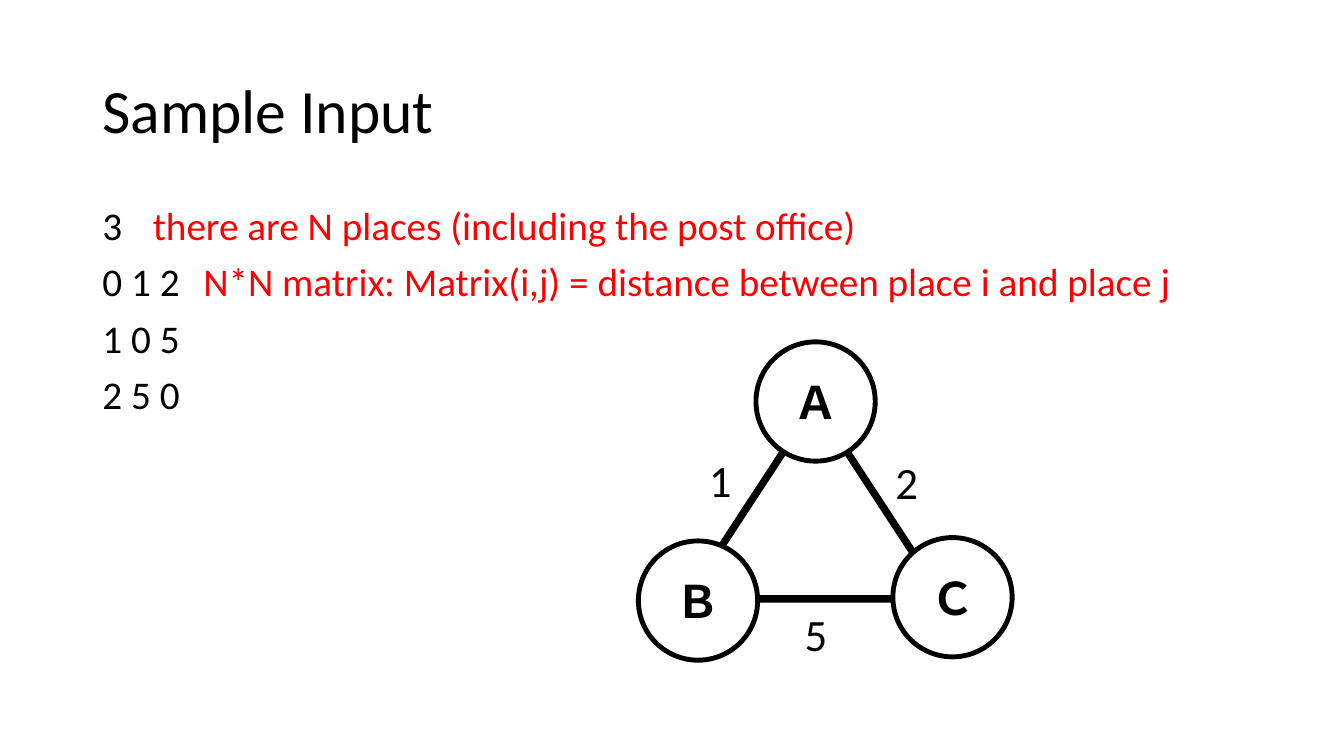
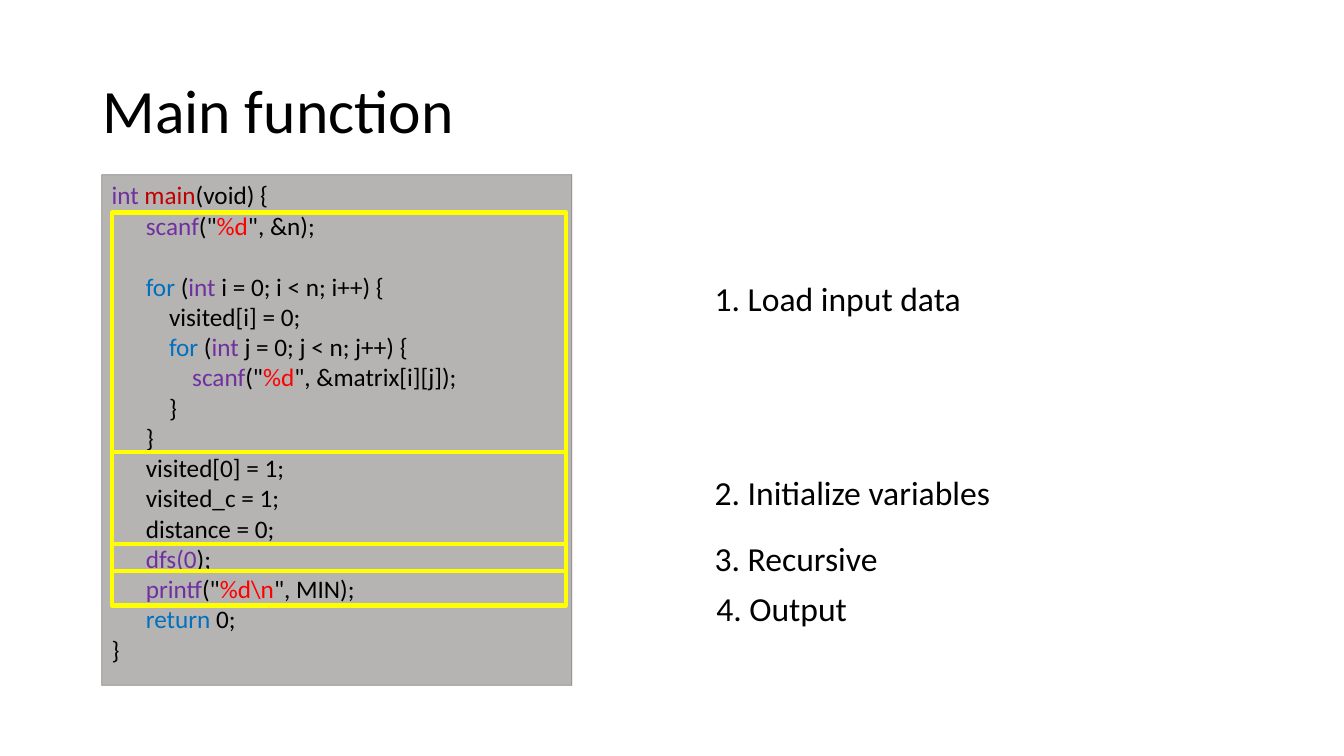
from lxml.etree import SubElement
from pptx import Presentation
from pptx.dml.color import RGBColor
from pptx.enum.shapes import MSO_SHAPE
from pptx.enum.text import MSO_ANCHOR, MSO_AUTO_SIZE, PP_ALIGN
from pptx.oxml.ns import qn
from pptx.util import Inches, Pt

BLACK = RGBColor(0x00, 0x00, 0x00)
WHITE = RGBColor(0xFF, 0xFF, 0xFF)
RED = RGBColor(0xFF, 0x00, 0x00)
DARK_RED = RGBColor(0xC0, 0x00, 0x00)
PURPLE = RGBColor(0x70, 0x30, 0xA0)
BLUE = RGBColor(0x00, 0x70, 0xC0)
YELLOW = RGBColor(0xFF, 0xFF, 0x00)
GREY = RGBColor(0x76, 0x71, 0x71)

COLUMNS, ROWS = 160, 90
CELL = Inches(1) // 12

TITLE_AND_CONTENT, TITLE_ONLY = 1, 5


def set_format(target, values):
    for name, value in values.items():
        setattr(target, name, value)


def set_opacity(color_parent, percent):
    color = color_parent.find(".//" + qn("a:srgbClr"))
    SubElement(color, qn("a:alpha"), val=str(percent * 1000))


class Deck:
    """Holds the style and the current slide; lengths are grid columns and rows."""

    font = "Calibri"
    title_place = (11, 4.8, 138, 17.4)
    body_place = (11, 24, 138, 57.1)
    title_paragraph = {"alignment": PP_ALIGN.LEFT, "line_spacing": 0.9}
    body_paragraph = {"line_spacing": 0.9, "space_before": Pt(10)}

    def __init__(self):
        self.presentation = Presentation()
        set_format(self.presentation, {"slide_width": COLUMNS * CELL,
                                       "slide_height": ROWS * CELL})
        self.slide = None

    def place(self, shape, place):
        lengths = (round(length * CELL) for length in place)
        set_format(shape, dict(zip(("left", "top", "width", "height"), lengths)))

    def add_text(self, paragraph, runs, size, paragraph_format, bold=False):
        """Fill a paragraph from text or from (text, colour) pairs."""
        set_format(paragraph, paragraph_format)
        if isinstance(runs, str):
            runs = [(runs, BLACK)]
        for text, color in runs:
            run = paragraph.add_run()
            run.text = text
            set_format(run.font, {"name": self.font, "size": Pt(size), "bold": bold})
            run.font.color.rgb = color

    def paragraphs(self, frame, count):
        return [frame.paragraphs[0]] + [frame.add_paragraph() for _ in range(count - 1)]

    def add_slide(self, title, layout):
        self.slide = self.presentation.slides.add_slide(
            self.presentation.slide_layouts[layout])
        shape = self.slide.shapes.title
        self.place(shape, self.title_place)
        shape.text_frame.vertical_anchor = MSO_ANCHOR.MIDDLE
        self.add_text(shape.text_frame.paragraphs[0], title, 44, self.title_paragraph)

    def body(self, lines):
        shape = self.slide.placeholders[1]
        self.place(shape, self.body_place)
        frame = shape.text_frame
        frame.auto_size = MSO_AUTO_SIZE.NONE
        for paragraph, runs in zip(self.paragraphs(frame, len(lines)), lines):
            self.add_text(paragraph, runs, 28, self.body_paragraph)
            properties = paragraph._p.get_or_add_pPr()
            properties.set("marL", "0")
            properties.set("indent", "0")
            SubElement(properties, qn("a:buNone"))

    def shape(self, kind, place, line, width, fill=None):
        shape = self.slide.shapes.add_shape(kind, 0, 0, 0, 0)
        self.place(shape, place)
        shape.shadow.inherit = False
        shape.line.color.rgb = line
        shape.line.width = Pt(width)
        if fill is None:
            shape.fill.background()
        else:
            shape.fill.solid()
            shape.fill.fore_color.rgb = fill
        return shape

    def node(self, letter, column, row, size=14.2):
        shape = self.shape(MSO_SHAPE.OVAL, (column, row, size, size), BLACK, 3.5, WHITE)
        shape.text_frame.vertical_anchor = MSO_ANCHOR.MIDDLE
        self.add_text(shape.text_frame.paragraphs[0], letter, 32,
                      {"alignment": PP_ALIGN.CENTER}, bold=True)

    def label(self, text, place, size):
        box = self.slide.shapes.add_textbox(0, 0, 0, 0)
        self.place(box, place)
        box.text_frame.word_wrap = True
        self.add_text(box.text_frame.paragraphs[0], text, size, {})

    def code(self, place, lines, size=18):
        """Draw a listing of (depth, space before, runs) on a translucent panel."""
        panel = self.shape(MSO_SHAPE.RECTANGLE, place, BLACK, 0.75, GREY)
        set_opacity(panel._element.spPr.find(qn("a:solidFill")), 53)
        set_opacity(panel._element.spPr.find(qn("a:ln")), 24)
        frame = panel.text_frame
        frame.vertical_anchor = MSO_ANCHOR.TOP
        for paragraph, line in zip(self.paragraphs(frame, len(lines)), lines):
            depth, gap, runs = line
            self.add_text(paragraph, runs, size,
                          {"alignment": PP_ALIGN.LEFT, "space_before": Pt(gap)})
            indent = Inches(0.34 + 0.23 * (depth - 1)) if depth else 0
            paragraph._p.get_or_add_pPr().set("marL", str(int(indent)))

    def highlights(self, column, width, edges):
        """Stack outlined boxes between consecutive row edges."""
        for top, bottom in zip(edges, edges[1:]):
            self.shape(MSO_SHAPE.RECTANGLE, (column, top, width, bottom - top), YELLOW, 3)


def for_loop(name):
    return [("for", BLUE), (" (", BLACK), ("int ", PURPLE),
            (f"{name} = 0; {name} < n; {name}++) {{", BLACK)]


def call(function, pattern, rest):
    return [(function, PURPLE), ('("', BLACK), (pattern, RED), (f'", {rest});', BLACK)]


def add_sample_input(deck):
    deck.add_slide("Sample Input", TITLE_AND_CONTENT)
    deck.body([
        [("3\t", BLACK), ("there are N places (including the post office)", RED)],
        [("0 1 2\t", BLACK),
         ("N*N matrix: Matrix(i,j) = distance between place i and place j", RED)],
        "1 0 5",
        "2 5 0",
    ])
    deck.shape(MSO_SHAPE.ISOSCELES_TRIANGLE, (81.8, 48, 30.5, 23.3), BLACK, 5.25)
    for letter, column, row in (("Ａ", 90, 40.7), ("Ｃ", 106.3, 64), ("Ｂ", 76, 64.4)):
        deck.node(letter, column, row)
    for weight, column, row in (("1", 83.2, 53.3), ("2", 105.4, 53.6), ("5", 94.6, 71.6)):
        deck.label(weight, (column, row, 5.2, 7.7), 32)


def add_main_function(deck):
    deck.add_slide("Main function", TITLE_ONLY)
    blank_line = 22
    deck.code((12.1, 20.8, 56, 60.8), [
        (0, 0, [("int ", PURPLE), ("main", DARK_RED), ("(void) {", BLACK)]),
        (1, 0, call("scanf", "%d", "&n")),
        (1, blank_line, for_loop("i")),
        (2, 0, "visited[i] = 0;"),
        (2, 0, for_loop("j")),
        (3, 0, call("scanf", "%d", "&matrix[i][j]")),
        (2, 0, "}"),
        (1, 0, "}"),
        (1, 0, "visited[0] = 1;"),
        (1, 0, "visited_c = 1;"),
        (1, 0, "distance = 0;"),
        (1, 0, [("dfs(0", PURPLE), (");", BLACK)]),
        (1, 0, call("printf", "%d\\n", "MIN")),
        (1, 0, [("return", BLUE), (" 0;", BLACK)]),
        (0, 0, "}"),
    ])
    deck.highlights(13.3, 54.1, (25.3, 53.8, 64.8, 68, 72.1))
    steps = (("1. Load input data", 83.9, 32.5), ("2. Initialize variables", 83.9, 55.6),
             ("3. Recursive", 83.9, 63.4), ("4. Output", 84.1, 69.4))
    for step, column, row in steps:
        deck.label(step, (column, row, 60, 6), 24)


def main():
    deck = Deck()
    add_sample_input(deck)
    add_main_function(deck)
    deck.presentation.save("out.pptx")


if __name__ == "__main__":
    main()
